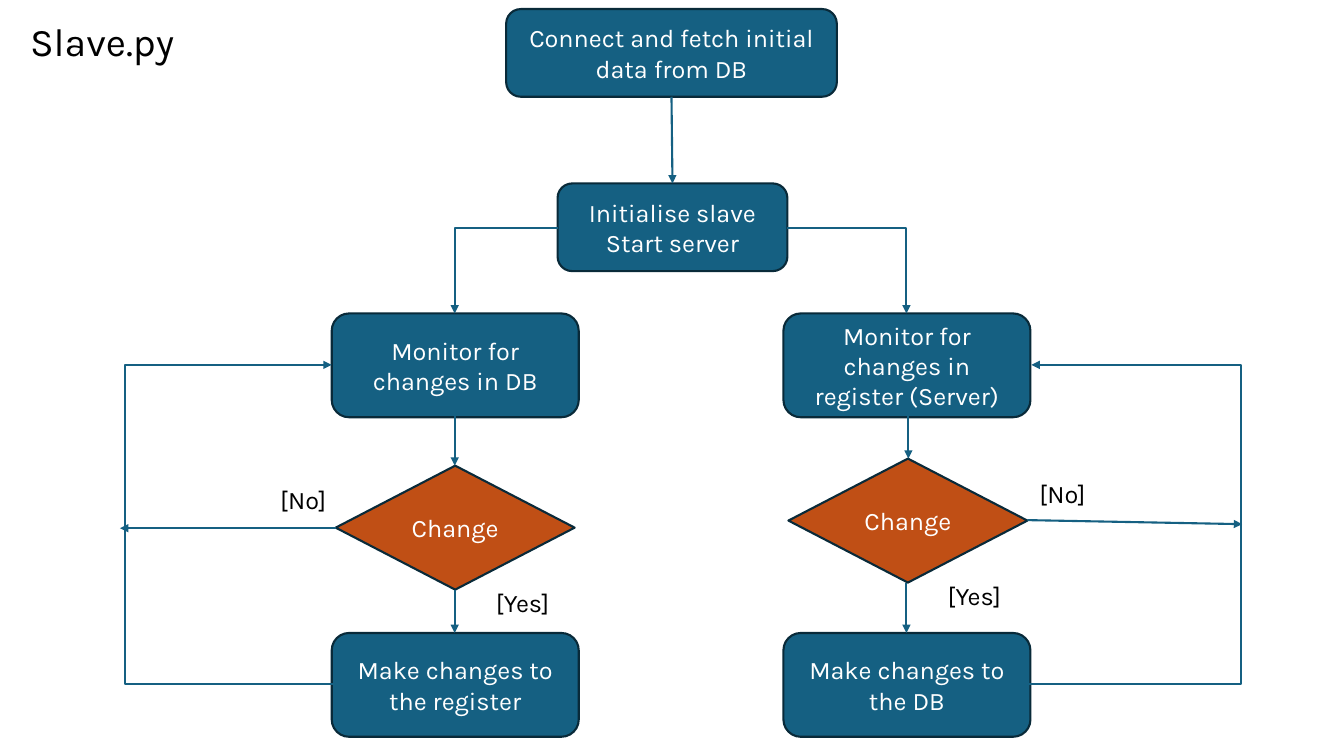
from dataclasses import dataclass
from typing import Any

from lxml import etree
from pptx import Presentation
from pptx.dml.color import RGBColor
from pptx.enum.shapes import MSO_CONNECTOR, MSO_SHAPE
from pptx.enum.text import MSO_ANCHOR, MSO_AUTO_SIZE, PP_ALIGN
from pptx.oxml.ns import qn
from pptx.slide import Slide
from pptx.util import Emu, Pt

ROUNDED = MSO_SHAPE.ROUNDED_RECTANGLE
DIAMOND = MSO_SHAPE.DIAMOND
STRAIGHT = MSO_CONNECTOR.STRAIGHT
ELBOW = MSO_CONNECTOR.ELBOW
LEFT = PP_ALIGN.LEFT
CENTER = PP_ALIGN.CENTER
MIDDLE = MSO_ANCHOR.MIDDLE
FIT_TEXT = MSO_AUTO_SIZE.SHAPE_TO_FIT_TEXT
EMU_PER_PX = 9144


@dataclass(frozen=True)
class Theme:
    """Colours, font and sizes of the flowchart."""

    process: RGBColor = RGBColor(0x15, 0x60, 0x82)
    decision: RGBColor = RGBColor(0xC0, 0x4F, 0x15)
    outline: RGBColor = RGBColor(0x09, 0x2A, 0x39)
    light: RGBColor = RGBColor(0xFF, 0xFF, 0xFF)
    dark: RGBColor = RGBColor(0x00, 0x00, 0x00)
    font: str = "Karla"
    title_size: int = 28
    body_size: int = 18
    line_width: float = 1.5


THEME = Theme()


@dataclass(frozen=True)
class Step:
    """A filled flowchart node."""

    text: str
    left: int
    top: int
    width: int = 245
    height: int = 103
    kind: Any = ROUNDED
    fill: RGBColor = THEME.process


@dataclass(frozen=True)
class Label:
    """A free text on the slide."""

    text: str
    left: int
    top: int
    width: int = 81
    height: int = 40
    size: int = THEME.body_size


@dataclass(frozen=True)
class Arrow:
    """An arrow, straight or bent; lane is the x of a loop's vertical run."""

    start: tuple[int, int]
    end: tuple[int, int]
    bent: bool = False
    lane: int | None = None


def decision(left: int, top: int) -> Step:
    """Return a change decision at the given place."""
    return Step("Change", left, top, 237, 123, DIAMOND, THEME.decision)


STEPS = [
    Step("Connect and fetch initial data from DB", 502, 9, 328, 87),
    Step("Initialise slave\nStart server", 553, 182, 228, 87),
    Step("Monitor for changes in DB", 329, 311),
    Step("Monitor for changes in register (Server)", 777, 311),
    decision(333, 462),
    decision(782, 455),
    Step("Make changes to the register", 329, 628),
    Step("Make changes to the DB", 777, 628),
]

LABELS = [
    Label("Slave.py", 20, 12, 165, 57, THEME.title_size),
    Label("[No]", 268, 476),
    Label("[Yes]", 482, 578),
    Label("[No]", 1021, 470),
    Label("[Yes]", 930, 571),
]

ARROWS = [
    Arrow((666, 96), (667, 182)),
    Arrow((553, 226), (451, 311), bent=True),
    Arrow((781, 226), (899, 311), bent=True),
    Arrow((451, 413), (451, 462)),
    Arrow((901, 405), (901, 455)),
    Arrow((451, 585), (451, 628)),
    Arrow((899, 578), (899, 628)),
    Arrow((333, 524), (119, 524)),
    Arrow((1019, 516), (1232, 520)),
    Arrow((330, 679), (329, 362), bent=True, lane=121),
    Arrow((1021, 679), (1023, 362), bent=True, lane=1230),
]


def px(*lengths: int) -> list[Emu]:
    """Turn px lengths into EMU."""
    return [Emu(length * EMU_PER_PX) for length in lengths]


def apply_format(target: Any, values: dict[str, Any]) -> None:
    """Set each named attribute on the target."""
    for name, value in values.items():
        setattr(target, name, value)


def write_text(shape: Any, text: str, size: int, color: RGBColor, alignment: Any) -> None:
    """Write one formatted paragraph per line of text."""
    frame = shape.text_frame
    frame.text = text
    frame.word_wrap = True
    for paragraph in frame.paragraphs:
        paragraph.alignment = alignment
        apply_format(paragraph.font, {"name": THEME.font, "size": Pt(size)})
        for run in paragraph.runs:
            apply_format(run.font, {"name": THEME.font, "size": Pt(size)})
            run.font.color.rgb = color


def draw_step(slide: Slide, step: Step) -> None:
    """Draw a flowchart node with centred text."""
    box = px(step.left, step.top, step.width, step.height)
    shape = slide.shapes.add_shape(step.kind, *box)
    shape.shadow.inherit = False
    shape.fill.solid()
    shape.fill.fore_color.rgb = step.fill
    shape.line.color.rgb = THEME.outline
    shape.line.width = Pt(THEME.line_width)
    write_text(shape, step.text, THEME.body_size, THEME.light, CENTER)
    shape.text_frame.vertical_anchor = MIDDLE


def draw_label(slide: Slide, label: Label) -> None:
    """Draw a free text."""
    box = px(label.left, label.top, label.width, label.height)
    shape = slide.shapes.add_textbox(*box)
    write_text(shape, label.text, label.size, THEME.dark, LEFT)
    shape.text_frame.auto_size = FIT_TEXT


def draw_arrow(slide: Slide, arrow: Arrow) -> None:
    """Draw an arrow with a triangular head at its end."""
    kind = ELBOW if arrow.bent else STRAIGHT
    connector = slide.shapes.add_connector(kind, *px(*arrow.start, *arrow.end))
    connector.line.color.rgb = THEME.process
    connector.line.width = Pt(THEME.line_width)
    properties = connector._element.spPr
    etree.SubElement(properties.find(qn("a:ln")), qn("a:tailEnd"), type="triangle")
    etree.SubElement(properties, qn("a:effectLst"))
    geometry = properties.find(qn("a:prstGeom"))
    if arrow.lane is not None:
        ratio = (arrow.lane - arrow.start[0]) / (arrow.end[0] - arrow.start[0])
        guide = f"val {round(ratio * 100000)}"
        adjustments = geometry.find(qn("a:avLst"))
        etree.SubElement(adjustments, qn("a:gd"), name="adj1", fmla=guide)
    elif arrow.bent:
        geometry.set("prst", "bentConnector2")


def main() -> None:
    """Build and save the flowchart slide."""
    presentation = Presentation()
    width, height = px(1333, 750)
    apply_format(presentation, {"slide_width": width, "slide_height": height})
    slide = presentation.slides.add_slide(presentation.slide_layouts[6])
    for step in STEPS:
        draw_step(slide, step)
    for label in LABELS:
        draw_label(slide, label)
    for arrow in ARROWS:
        draw_arrow(slide, arrow)
    presentation.save("out.pptx")


if __name__ == "__main__":
    main()
